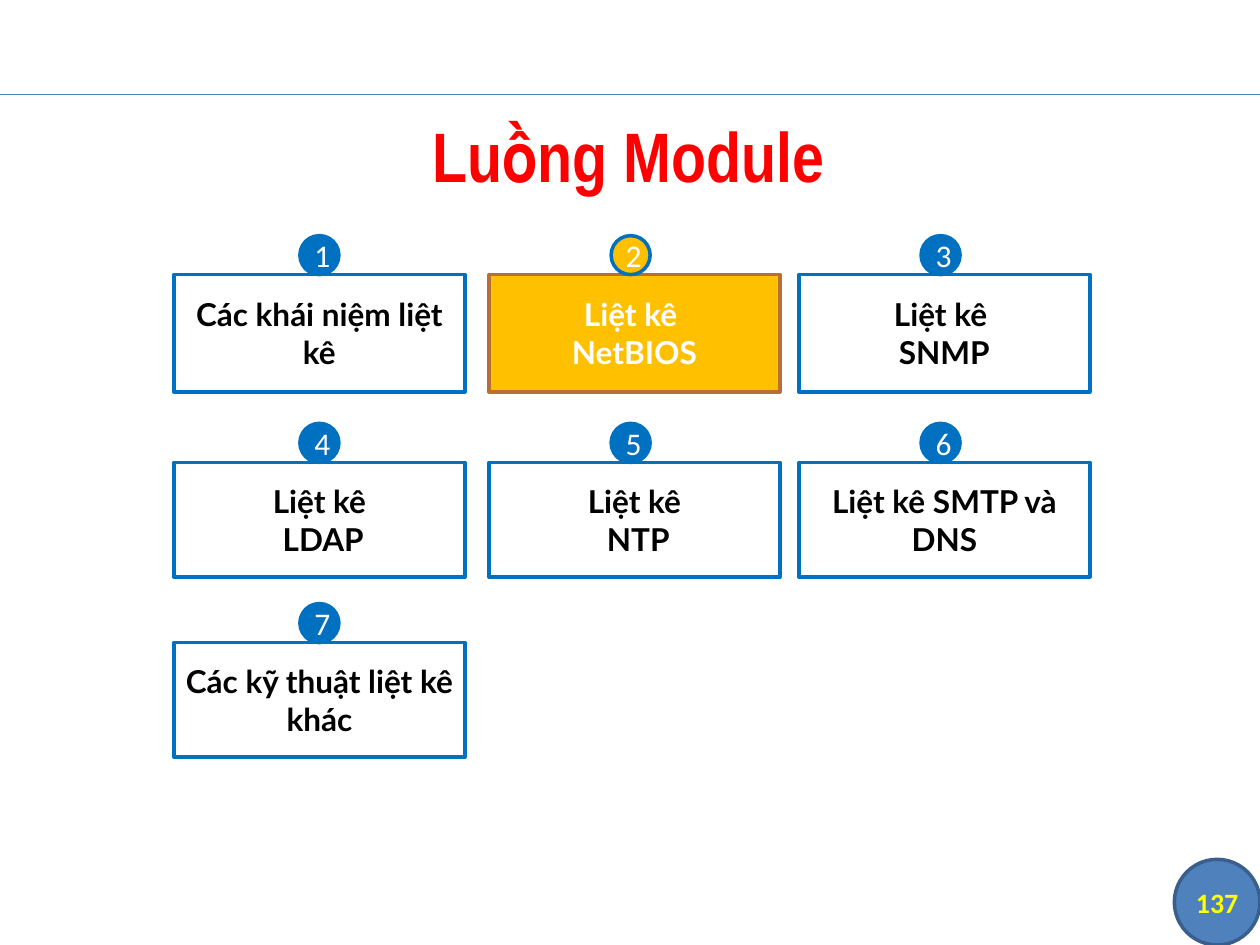
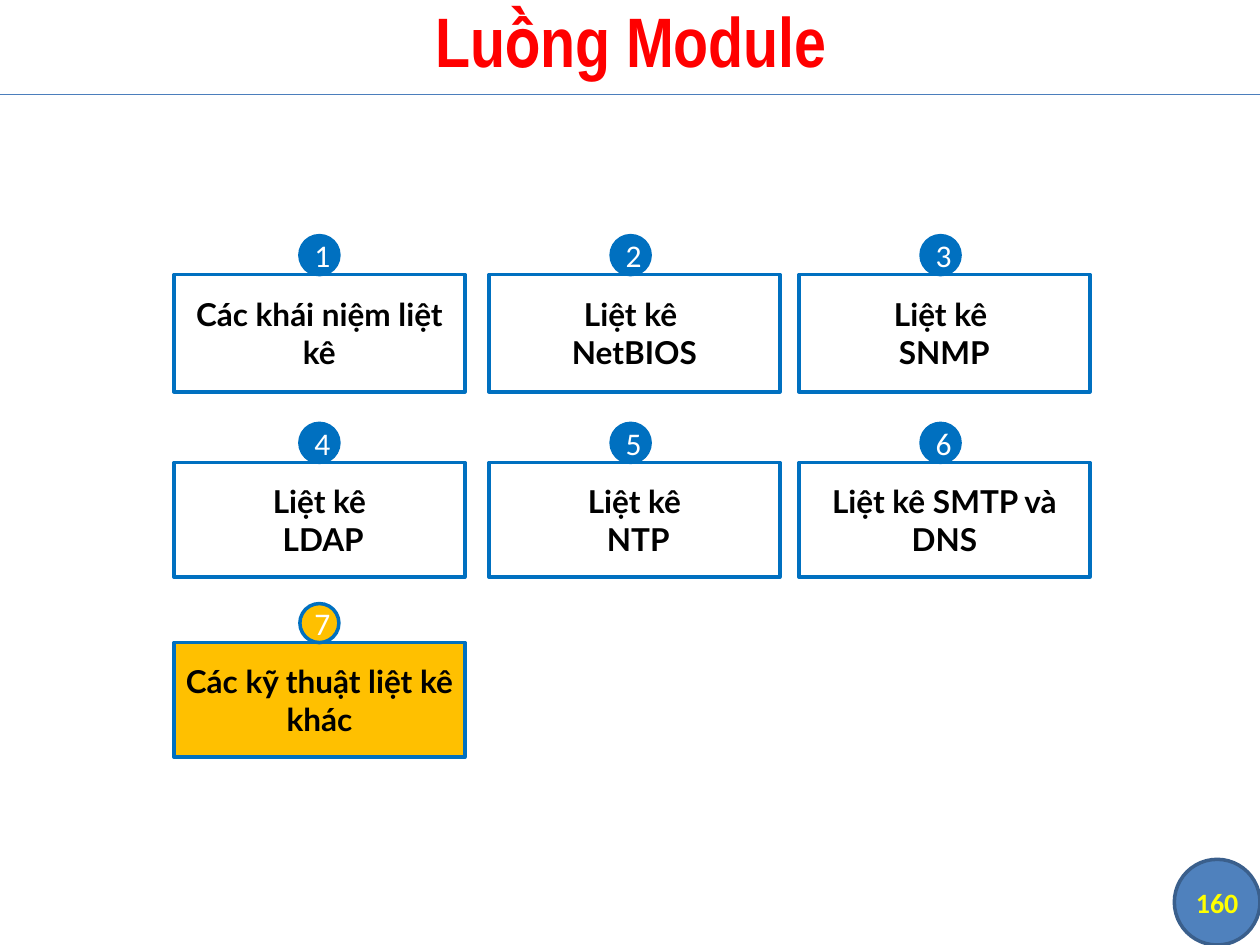
"""Build the two module-flow slides, each highlighting its current section."""
from dataclasses import dataclass

from lxml.etree import SubElement
from pptx import Presentation
from pptx.dml.color import RGBColor
from pptx.enum.shapes import MSO_CONNECTOR, MSO_SHAPE
from pptx.enum.text import MSO_ANCHOR, MSO_AUTO_SIZE, PP_ALIGN
from pptx.oxml.ns import qn
from pptx.shapes.autoshape import Shape
from pptx.slide import Slide
from pptx.text.text import TextFrame
from pptx.util import Inches, Pt

WHITE = RGBColor(0xFF, 0xFF, 0xFF)
BLACK = RGBColor(0x00, 0x00, 0x00)
RED = RGBColor(0xFF, 0x00, 0x00)
YELLOW = RGBColor(0xFF, 0xFF, 0x00)
BLUE = RGBColor(0x00, 0x70, 0xC0)
AMBER = RGBColor(0xFF, 0xC0, 0x00)
BROWN = RGBColor(0xB7, 0x6F, 0x34)
PAGE_FILL = RGBColor(0x4F, 0x81, 0xBD)
PAGE_BORDER = RGBColor(0x3A, 0x5F, 0x8C)
RULE_BLUE = RGBColor(0x4B, 0x7E, 0xBC)

COLUMNS = 3
CARD_LEFTS = (1.38, 3.88, 6.34)
BADGE_LEFTS = (2.38, 4.85, 7.31)
ROW_TOPS = (2.18, 3.67, 5.10)
ROW_HEIGHTS = (0.93, 0.91, 0.91)
CARD_WIDTH = 2.31
BADGE_SIZE = 0.31
PAGE_SPOT = (9.32, 6.82, 0.68, 0.68)

SECTIONS = (
    ("Các khái niệm liệt kê",),
    ("Liệt kê ", "NetBIOS"),
    ("Liệt kê ", "SNMP"),
    ("Liệt kê", " LDAP"),
    ("Liệt kê", " NTP"),
    ("Liệt kê SMTP và DNS",),
    ("Các kỹ thuật liệt kê khác",),
)


@dataclass(frozen=True)
class Look:
    """Colours of a section card and its numbered badge."""
    card_fill: RGBColor = WHITE
    card_border: RGBColor = BLUE
    card_text: RGBColor = BLACK
    badge_fill: RGBColor = BLUE


@dataclass(frozen=True)
class FlowSlide:
    """What differs from one flow slide to the next."""
    page: str
    title_left: float
    title_top: float
    current: int
    current_look: Look


FLOW_SLIDES = (
    FlowSlide("137", 1.24, 0.94, 2, Look(AMBER, BROWN, WHITE, AMBER)),
    FlowSlide("160", 1.26, 0.02, 7, Look(AMBER, BLUE, BLACK, AMBER)),
)


def write(frame: TextFrame, lines: tuple[str, ...], font_name: str, size: float,
          color: RGBColor, bold: bool = False) -> None:
    """Fill a frame with centred paragraphs of one font."""
    frame.word_wrap = True
    frame.auto_size = MSO_AUTO_SIZE.NONE
    frame.vertical_anchor = MSO_ANCHOR.MIDDLE
    frame.text = "\n".join(lines)
    for paragraph in frame.paragraphs:
        paragraph.alignment = PP_ALIGN.CENTER
        font = paragraph.font
        font.name, font.size, font.bold = font_name, Pt(size), bold
        font.color.rgb = color


def set_insets(frame: TextFrame, side: float, end: float) -> None:
    """Set the inner margins of a frame, in inches."""
    frame.margin_left = frame.margin_right = Inches(side)
    frame.margin_top = frame.margin_bottom = Inches(end)


def add_outlined(slide: Slide, preset: MSO_SHAPE, spot: tuple[float, ...],
                 fill: RGBColor, border: RGBColor) -> Shape:
    """Add a flat filled shape with a 2 pt border."""
    shape = slide.shapes.add_shape(preset, *map(Inches, spot))
    shape.shadow.inherit = False
    shape.fill.solid()
    shape.fill.fore_color.rgb = fill
    shape.line.color.rgb = border
    shape.line.width = Pt(2)
    set_insets(shape.text_frame, 0.07, 0.04)
    return shape


def add_frame(slide: Slide, flow: FlowSlide) -> None:
    """Add the header rule, the title and the page number."""
    rule = slide.shapes.add_connector(
        MSO_CONNECTOR.STRAIGHT, 0, Inches(0.75), Inches(10), Inches(0.75))
    rule.line.color.rgb = RULE_BLUE
    rule.line.width = Pt(0.75)
    SubElement(rule._element.spPr, qn("a:effectLst"))

    title = slide.shapes.title
    title.left, title.top = Inches(flow.title_left), Inches(flow.title_top)
    title.width, title.height = Inches(7.5), Inches(0.58)
    write(title.text_frame, ("Luồng Module",), "Arial Narrow", 40, RED, True)

    add_outlined(slide, MSO_SHAPE.FLOWCHART_CONNECTOR, PAGE_SPOT, PAGE_FILL, PAGE_BORDER)
    page = slide.shapes.add_textbox(*map(Inches, PAGE_SPOT))
    set_insets(page.text_frame, 0, 0)
    write(page.text_frame, (flow.page,), "Calibri", 16, YELLOW, True)


def add_section(slide: Slide, number: int, lines: tuple[str, ...], look: Look) -> None:
    """Add one section card with its badge at its place in the grid."""
    row, column = divmod(number - 1, COLUMNS)
    top = ROW_TOPS[row]
    card = add_outlined(slide, MSO_SHAPE.RECTANGLE,
                        (CARD_LEFTS[column], top, CARD_WIDTH, ROW_HEIGHTS[row]),
                        look.card_fill, look.card_border)
    write(card.text_frame, lines, "Lato", 18, look.card_text, True)
    badge = add_outlined(slide, MSO_SHAPE.OVAL,
                         (BADGE_LEFTS[column], top - BADGE_SIZE, BADGE_SIZE, BADGE_SIZE),
                         look.badge_fill, BLUE)
    write(badge.text_frame, (str(number),), "Calibri", 18, WHITE)


def main() -> None:
    """Build and save the presentation."""
    deck = Presentation()
    deck.slide_width, deck.slide_height = Inches(10), Inches(7.5)
    title_only = deck.slide_layouts.get_by_name("Title Only")
    for flow in FLOW_SLIDES:
        slide = deck.slides.add_slide(title_only)
        add_frame(slide, flow)
        for number, lines in enumerate(SECTIONS, start=1):
            look = flow.current_look if number == flow.current else Look()
            add_section(slide, number, lines, look)
    deck.save("out.pptx")


if __name__ == "__main__":
    main()
